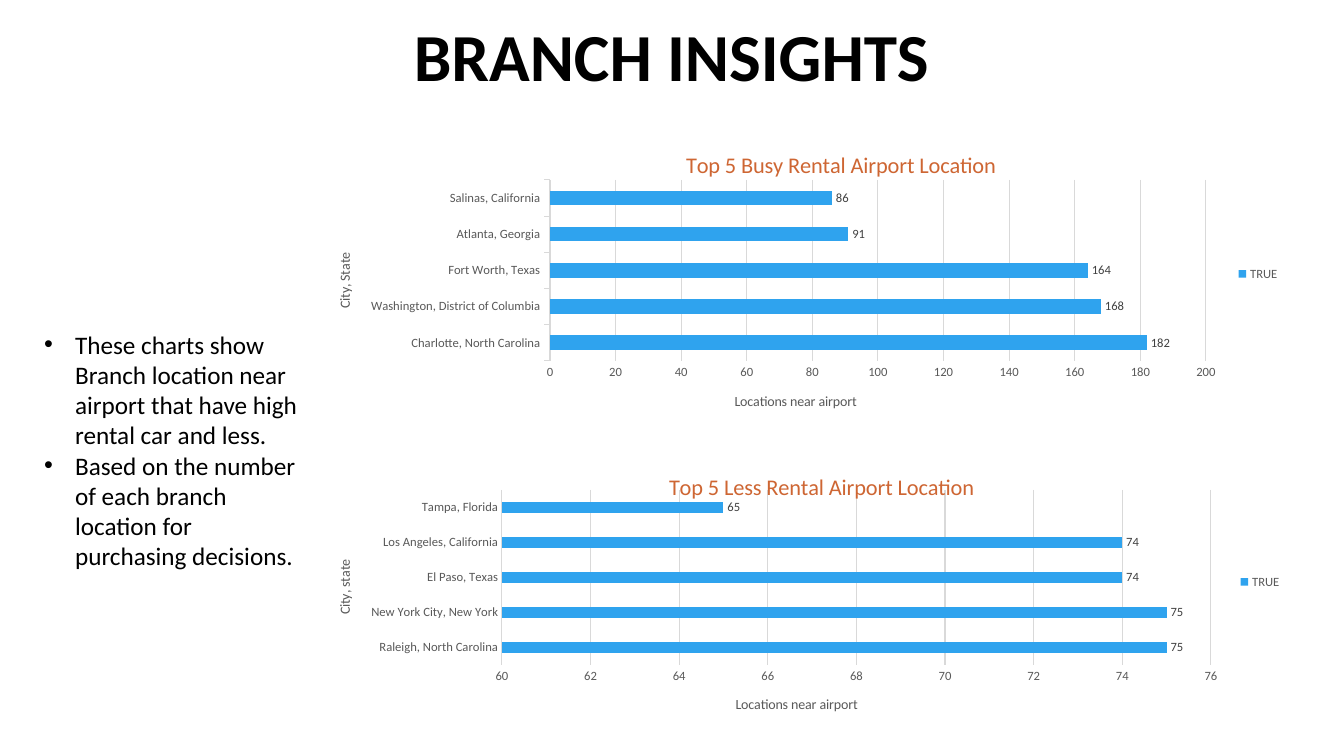
from lxml.etree import SubElement
from pptx import Presentation
from pptx.chart.data import CategoryChartData
from pptx.dml.color import RGBColor
from pptx.enum.chart import XL_CHART_TYPE, XL_LABEL_POSITION, XL_LEGEND_POSITION, XL_TICK_MARK
from pptx.enum.text import MSO_ANCHOR, MSO_AUTO_SIZE, PP_ALIGN
from pptx.oxml.ns import qn
from pptx.util import Emu, Pt

PX = 914400 / 100.8
GREY, GRID, BLUE, ORANGE = "595959", "D9D9D9", "2FA3EE", "CE6633"


def style(font, size, color="000000", bold=False):
    font.name = "Calibri"
    font.size = Pt(size)
    font.bold = bold
    font.color.rgb = RGBColor.from_string(color)


def set_layout(parent, frame, left, top, width=None, height=None):
    """Fix a chart part at slide px, given the chart frame in px."""
    layout = parent.find(qn("c:layout"))
    if layout is None:
        layout = parent.makeelement(qn("c:layout"))
        parent.insert(0, layout)
    manual = SubElement(layout, qn("c:manualLayout"))
    settings = [("xMode", "edge"), ("yMode", "edge"),
                ("x", (left - frame[0]) / frame[2]), ("y", (top - frame[1]) / frame[3])]
    if width:
        settings.insert(0, ("layoutTarget", "inner"))
        settings += [("w", width / frame[2]), ("h", height / frame[3])]
    for tag, value in settings:
        SubElement(manual, qn("c:" + tag)).set("val", str(value))


prs = Presentation()
prs.slide_width, prs.slide_height = Emu(round(1344 * PX)), Emu(round(756 * PX))
slide = prs.slides.add_slide(prs.slide_layouts[1])
heading, findings = slide.shapes.title, slide.placeholders[1]

for holder, box, anchor in [(heading, (334, 9, 675, 92), MSO_ANCHOR.MIDDLE),
                            (findings, (34, 324, 275, 254), MSO_ANCHOR.TOP)]:
    holder.left, holder.top, holder.width, holder.height = [Emu(round(v * PX)) for v in box]
    holder.text_frame.vertical_anchor = anchor
    holder.text_frame.auto_size = MSO_AUTO_SIZE.NONE

heading.text_frame.text = "BRANCH INSIGHTS"
heading_line = heading.text_frame.paragraphs[0]
heading_line.alignment = PP_ALIGN.CENTER
style(heading_line.runs[0].font, 48, bold=True)

findings.text_frame.text = (
    "These charts show Branch location near airport that have high rental car and less.\n"
    "Based on the number of each branch location for purchasing decisions.")
for finding in findings.text_frame.paragraphs:
    finding.space_before = Pt(0)
    finding.line_spacing = 1.0
    indent = finding._p.get_or_add_pPr()
    indent.set("marL", str(round(31 * PX)))
    indent.set("indent", str(round(-31 * PX)))
    style(finding.runs[0].font, 18)

rankings = [
    dict(title="Top 5 Busy Rental Airport Location", title_at=(682, 146),
         frame=(309, 122, 981, 304), plot=(550, 180, 656, 181),
         city_title="City, State", city_at=(333, 250), count_at=(732, 390),
         scale=(0, 200, 20), gap=150, tick=XL_TICK_MARK.OUTSIDE,
         counts={"Charlotte, North Carolina": 182, "Washington, District of Columbia": 168,
                 "Fort Worth, Texas": 164, "Atlanta, Georgia": 91, "Salinas, California": 86}),
    dict(title="Top 5 Less Rental Airport Location", title_at=(665, 468),
         frame=(309, 435, 983, 294), plot=(502, 490, 709, 175),
         city_title="City, state", city_at=(333, 557), count_at=(733, 693),
         scale=(60, 76, 2), gap=219, tick=XL_TICK_MARK.NONE,
         counts={"Raleigh, North Carolina": 75, "New York City, New York": 75,
                 "El Paso, Texas": 74, "Los Angeles, California": 74, "Tampa, Florida": 65}),
]

for ranking in rankings:
    frame = ranking["frame"]
    data = CategoryChartData()
    data.categories = list(ranking["counts"])
    data.add_series("TRUE", list(ranking["counts"].values()))
    chart = slide.shapes.add_chart(XL_CHART_TYPE.BAR_CLUSTERED,
                                   *[Emu(round(v * PX)) for v in frame], data).chart
    style(chart.font, 10)
    set_layout(chart._chartSpace.chart.plotArea, frame, *ranking["plot"])

    chart.has_legend = True
    chart.legend.position = XL_LEGEND_POSITION.RIGHT
    chart.legend.include_in_layout = False
    style(chart.legend.font, 9, GREY)

    cities, counts = chart.category_axis, chart.value_axis
    for part, text, size, color, spot in [
            (chart.chart_title, ranking["title"], 16, ORANGE, ranking["title_at"]),
            (cities.axis_title, ranking["city_title"], 10, GREY, ranking["city_at"]),
            (counts.axis_title, "Locations near airport", 10, GREY, ranking["count_at"])]:
        part.text_frame.text = text
        style(part.text_frame.paragraphs[0].runs[0].font, size, color)
        set_layout(part._element, frame, *spot)
    cities.axis_title._element.find(".//" + qn("a:bodyPr")).set("rot", "-5400000")

    for axis, tick in [(cities, ranking["tick"]), (counts, XL_TICK_MARK.NONE)]:
        style(axis.tick_labels.font, 9, GREY)
        axis.major_tick_mark = tick
        axis.minor_tick_mark = XL_TICK_MARK.NONE
    counts.minimum_scale, counts.maximum_scale, counts.major_unit = ranking["scale"]
    counts.format.line.fill.background()
    for line in (cities.format.line, counts.major_gridlines.format.line):
        line.color.rgb = RGBColor.from_string(GRID)
        line.width = Pt(0.75)

    bars = chart.plots[0]
    bars.gap_width = ranking["gap"]
    bars.vary_by_categories = False
    bars.series[0].format.fill.solid()
    bars.series[0].format.fill.fore_color.rgb = RGBColor.from_string(BLUE)
    labels = bars.series[0].data_labels
    labels.show_value = True
    labels.position = XL_LABEL_POSITION.OUTSIDE_END
    style(labels.font, 9, "404040")

prs.save("out.pptx")
